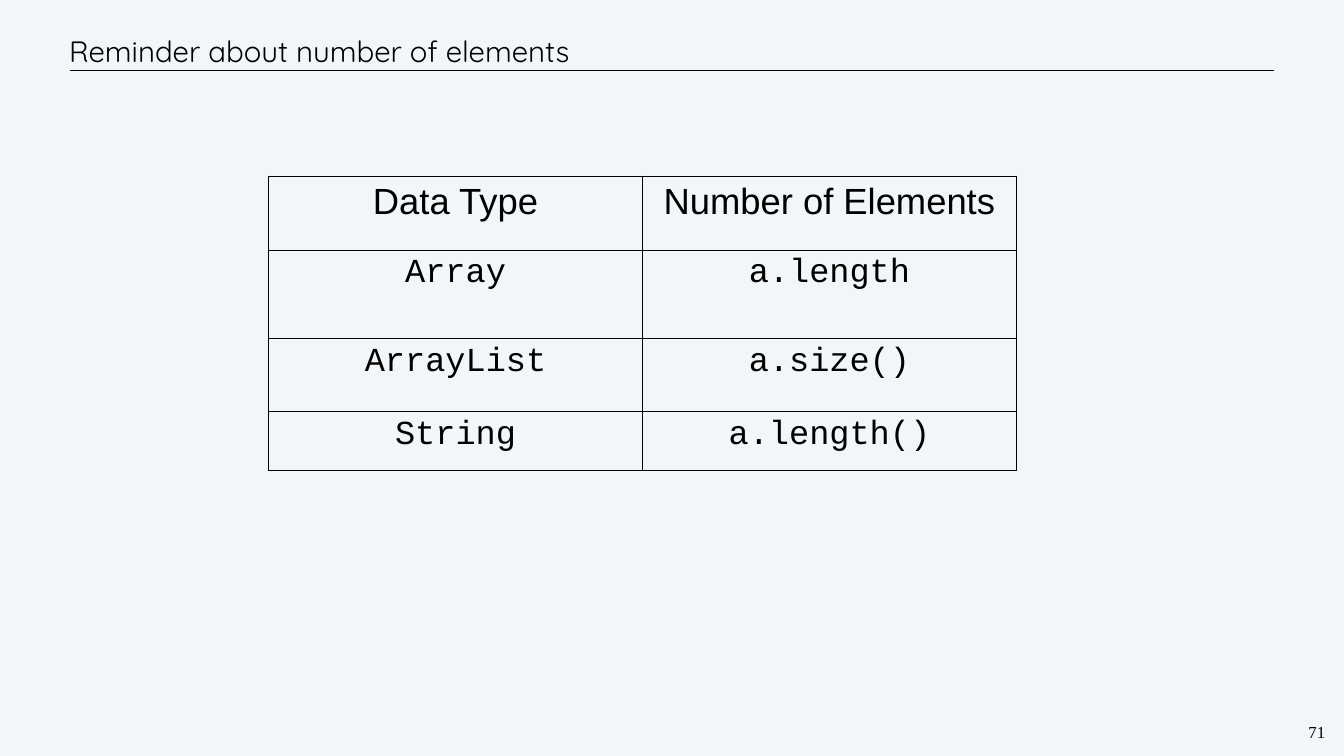
from lxml.etree import SubElement
from pptx import Presentation
from pptx.dml.color import RGBColor
from pptx.enum.shapes import MSO_CONNECTOR
from pptx.enum.text import MSO_ANCHOR, MSO_AUTO_SIZE, PP_ALIGN
from pptx.oxml.ns import qn
from pptx.util import Inches, Pt

INK = "000000"
PAPER = "F3F6F9"
COLUMN_WIDTH = 7.42
ROW_HEIGHTS = [1.46, 1.75, 1.46, 1.17]
ELEMENT_COUNTS = [
    ("Data Type", "Number of Elements"),
    ("Array", "a.length"),
    ("ArrayList", "a.size()"),
    ("String", "a.length()"),
]


def color(hex_value):
    return RGBColor.from_string(hex_value)


def set_all(target, values):
    for name, value in values.items():
        setattr(target, name, value)


def write(frame, text, font, size, **paragraph_format):
    paragraph = frame.paragraphs[0]
    paragraph.text = text
    set_all(paragraph, paragraph_format)
    set_all(paragraph.font, {"name": font, "size": Pt(size), "bold": False})
    paragraph.font.color.rgb = color(INK)


def set_margins(target, horizontal, vertical):
    sides = {"left": horizontal, "right": horizontal, "top": vertical, "bottom": vertical}
    set_all(target, {f"margin_{side}": Inches(gap) for side, gap in sides.items()})


def add_title(slide, text):
    title = slide.shapes.title
    set_all(title, {"left": Inches(1.31), "top": Inches(0.3),
                    "width": Inches(24), "height": Inches(1.41)})
    frame = title.text_frame
    set_all(frame, {"vertical_anchor": MSO_ANCHOR.MIDDLE, "word_wrap": True,
                    "auto_size": MSO_AUTO_SIZE.NONE})
    set_margins(frame, 0.06, 0.06)
    write(frame, text, "Quicksand", 42, alignment=PP_ALIGN.LEFT, line_spacing=Pt(50))


def add_rule(slide, left, right, y):
    rule = slide.shapes.add_connector(
        MSO_CONNECTOR.STRAIGHT, Inches(left), Inches(y), Inches(right), Inches(y))
    rule.line.width = Pt(1)
    rule.line.color.rgb = color(INK)
    SubElement(rule._element.spPr, qn("a:effectLst"))


def add_page_number(slide, number):
    box = slide.shapes.add_textbox(Inches(25.93), Inches(14.29), Inches(0.4), Inches(0.48))
    frame = box.text_frame
    set_all(frame, {"word_wrap": False, "auto_size": MSO_AUTO_SIZE.NONE})
    # No side margins, so both digits fit on one line
    set_margins(frame, 0, 0.04)
    write(frame, number, "Times New Roman", 24,
          alignment=PP_ALIGN.CENTER, line_spacing=Pt(28))


def add_borders(cell, widths):
    properties = cell._tc.get_or_add_tcPr()
    for side, width in widths.items():
        border = SubElement(properties, qn(f"a:ln{side}"), w=str(Pt(width)))
        fill = SubElement(border, qn("a:solidFill"))
        SubElement(fill, qn("a:srgbClr"), val=INK)


def add_count_table(slide, rows):
    last_row, last_column = len(rows) - 1, len(rows[0]) - 1
    table = slide.shapes.add_table(
        len(rows), len(rows[0]), Inches(5.33), Inches(3.5),
        Inches(COLUMN_WIDTH * len(rows[0])), Inches(sum(ROW_HEIGHTS))).table
    set_all(table, {"first_row": False, "horz_banding": False})
    for column in table.columns:
        column.width = Inches(COLUMN_WIDTH)
    for r, (texts, height) in enumerate(zip(rows, ROW_HEIGHTS)):
        table.rows[r].height = Inches(height)
        font, size = ("Arial", 52) if r == 0 else ("Courier New", 48)
        for c, text in enumerate(texts):
            cell = table.cell(r, c)
            set_margins(cell, 0.2, 0.1)
            write(cell.text_frame, text, font, size, alignment=PP_ALIGN.CENTER)
            # Heavier lines around the outside of the table
            outer = {"L": c == 0, "R": c == last_column, "T": r == 0, "B": r == last_row}
            add_borders(cell, {side: 2.25 if edge else 1 for side, edge in outer.items()})
            cell.fill.background()


def main():
    deck = Presentation()
    set_all(deck, {"slide_width": Inches(26.67), "slide_height": Inches(15)})
    slide = deck.slides.add_slide(deck.slide_layouts[5])
    slide.background.fill.solid()
    slide.background.fill.fore_color.rgb = color(PAPER)

    # Heading
    add_rule(slide, 1.39, 25.28, 1.4)
    add_title(slide, "Reminder about number of elements")

    # Body and footer
    add_count_table(slide, ELEMENT_COUNTS)
    add_page_number(slide, "71")
    deck.save("out.pptx")


if __name__ == "__main__":
    main()
